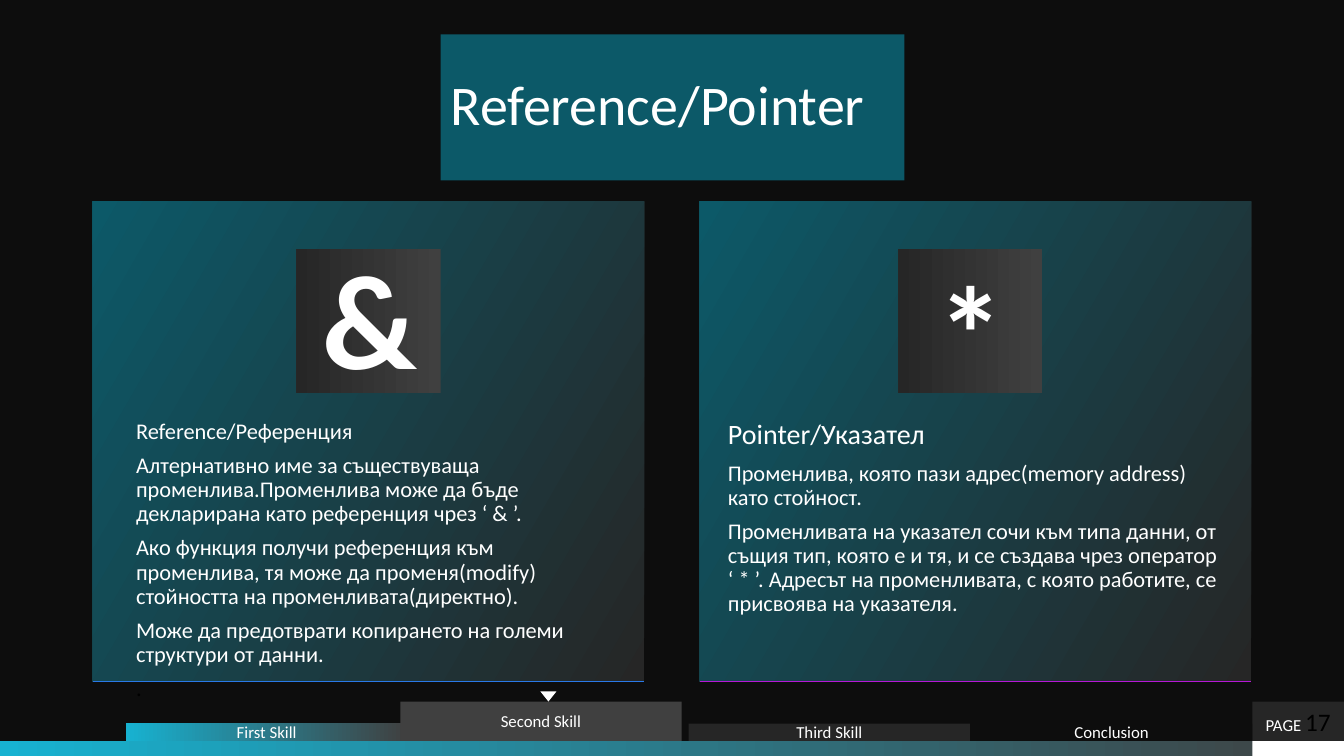
"""Build the Reference/Pointer comparison slide."""
from dataclasses import dataclass

from pptx import Presentation
from pptx.dml.color import RGBColor
from pptx.enum.shapes import MSO_CONNECTOR, MSO_SHAPE
from pptx.enum.text import MSO_ANCHOR, MSO_AUTO_SIZE, PP_ALIGN
from pptx.oxml.ns import qn
from pptx.util import Emu, Pt

RECTANGLE = MSO_SHAPE.RECTANGLE
MARKER = MSO_SHAPE.FLOWCHART_MERGE
STRAIGHT = MSO_CONNECTOR.STRAIGHT
TOP, MIDDLE = MSO_ANCHOR.TOP, MSO_ANCHOR.MIDDLE
LEFT, CENTER = PP_ALIGN.LEFT, PP_ALIGN.CENTER
NO_AUTOSIZE = MSO_AUTO_SIZE.NONE
EMU_PER_PX = 9144
TITLE_ONLY = 5


@dataclass(frozen=True)
class Theme:
    """Colours, font and type sizes of the slide."""

    background: str = "0D0D0D"
    panel: str = "262626"
    active: str = "404040"
    teal: str = "0C5968"
    cyan: str = "17B2D1"
    blue: str = "2978E7"
    purple: str = "B517D5"
    white: str = "FFFFFF"
    black: str = "000000"
    font: str = "Calibri"
    title: int = 40
    symbol: int = 96
    heading: int = 20
    body: int = 16
    page: int = 18
    tab: int = 12


THEME = Theme()

REFERENCE_TEXT = [
    ("Reference/Референция", THEME.body, THEME.white),
    ("Алтернативно име за съществуваща променлива.Променлива може да бъде "
     "декларирана като референция чрез ‘ & ’.", THEME.body, THEME.white),
    ("Ако функция получи референция към променлива, тя може да променя(modify) "
     "стойността на променливата(директно).", THEME.body, THEME.white),
    ("Може да предотврати копирането на големи структури от данни.",
     THEME.body, THEME.white),
    (".", THEME.body, THEME.black),
]
POINTER_TEXT = [
    ("Pointer/Указател", THEME.heading, THEME.white),
    ("Променлива, която пази адрес(memory address) като стойност.",
     THEME.body, THEME.white),
    ("Променливата на указател сочи към типа данни, от същия тип, която е и тя, "
     "и се създава чрез оператор \n‘ * ’. Адресът на променливата, с която "
     "работите, се присвоява на указателя.", THEME.body, THEME.white),
]
TABS = [
    ("First Skill", 125, 717, (THEME.cyan, THEME.active, 0)),
    ("Second Skill", 397, 696, THEME.active),
    ("Third Skill", 683, 718, THEME.panel),
    ("Conclusion", 963, 718, THEME.background),
]


def px(*lengths):
    """Turn pixel lengths into EMU."""
    return [Emu(length * EMU_PER_PX) for length in lengths]


def paint(fill, colour):
    """Apply a plain colour or a (start, end, clockwise angle) gradient."""
    if isinstance(colour, str):
        fill.solid()
        fill.fore_color.rgb = RGBColor.from_string(colour)
        return
    start, end, angle = colour
    fill.gradient()
    fill.gradient_angle = (360 - angle) % 360
    for stop, stop_colour in zip(fill.gradient_stops, (start, end)):
        stop.color.rgb = RGBColor.from_string(stop_colour)


def style_font(font, size, colour=THEME.white, bold=False):
    """Set typeface, size, colour and weight."""
    font.name = THEME.font
    font.size = Pt(size)
    font.bold = bold
    font.color.rgb = RGBColor.from_string(colour)


def set_frame(frame, insets, anchor):
    """Set wrapping, anchor and the left, top, right and bottom insets."""
    frame.word_wrap = True
    frame.auto_size = NO_AUTOSIZE
    frame.vertical_anchor = anchor
    (frame.margin_left, frame.margin_top,
     frame.margin_right, frame.margin_bottom) = px(*insets)


def add_block(slide, box, colour, kind=RECTANGLE):
    """Add a filled shape without outline or shadow."""
    shape = slide.shapes.add_shape(kind, *px(*box))
    shape.shadow.inherit = False
    shape.line.fill.background()
    paint(shape.fill, colour)
    return shape


def add_label(slide, box, colour, text):
    """Add a block with a small centred label and return its paragraph."""
    frame = add_block(slide, box, colour).text_frame
    set_frame(frame, (10, 5, 10, 5), MIDDLE)
    paragraph = frame.paragraphs[0]
    paragraph.text = text
    paragraph.alignment = CENTER
    style_font(paragraph.font, THEME.tab)
    return paragraph


def add_title(slide, text):
    """Place and format the title placeholder."""
    title = slide.shapes.title
    title.left, title.top, title.width, title.height = px(437, 34, 460, 145)
    paint(title.fill, THEME.teal)
    set_frame(title.text_frame, (10, 12, 10, 12), MIDDLE)
    paragraph = title.text_frame.paragraphs[0]
    paragraph.text = text
    paragraph.alignment = LEFT
    paragraph.line_spacing = 0.9
    style_font(paragraph.font, THEME.title)


def add_underline(slide, left, top, width, colour):
    """Add the coloured line along the foot of a card."""
    line = slide.shapes.add_connector(
        STRAIGHT, *px(left, top, left + width, top))
    line.line.width = Pt(1)
    line.line.color.rgb = RGBColor.from_string(colour)
    properties = line._element.spPr
    properties.append(properties.makeelement(qn("a:effectLst"), {}))


def add_card(slide, left, inset, accent, texts):
    """Add a gradient card with its paragraphs and underline."""
    top, width, height = 200, 547, 476
    card = add_block(slide, (left, top, width, height),
                     (THEME.panel, THEME.teal, 210))
    frame = card.text_frame
    set_frame(frame, (inset, 217, inset, 46), TOP)
    for index, (text, size, colour) in enumerate(texts):
        paragraph = frame.add_paragraph() if index else frame.paragraphs[0]
        paragraph.text = text
        paragraph.alignment = LEFT
        paragraph.line_spacing = 0.9
        paragraph.space_after = Pt(8 if size == THEME.heading else 7)
        style_font(paragraph.font, size, colour)
    add_underline(slide, left, top + height, width, accent)


def add_symbol(slide, tile_left, text_left, text_top, symbol):
    """Add a dark tile with a large operator sign."""
    add_block(slide, (tile_left, 247, 143, 143),
              (THEME.active, THEME.panel, 180))
    box = slide.shapes.add_textbox(*px(text_left, text_top, 109, 172))
    set_frame(box.text_frame, (10, 5, 10, 5), TOP)
    paragraph = box.text_frame.paragraphs[0]
    paragraph.text = symbol
    style_font(paragraph.font, THEME.symbol, bold=True)


def add_navigation(slide):
    """Add the bottom bar, page number, tabs and active-tab marker."""
    add_block(slide, (0, 735, 1333, 15), (THEME.cyan, THEME.active, 0))
    add_block(slide, (1242, 735, 91, 15), THEME.white)
    page = add_label(slide, (1242, 696, 91, 39), THEME.panel, "PAGE ")
    number = page.add_run()
    number.text = "17"
    style_font(number.font, THEME.page, THEME.black)
    for text, left, top, colour in TABS:
        add_label(slide, (left, top, 279, 735 - top), colour, text)
    add_block(slide, (536, 686, 16, 10), THEME.white, MARKER)


def main():
    """Build and save the presentation."""
    presentation = Presentation()
    presentation.slide_width, presentation.slide_height = px(1333, 750)
    slide = presentation.slides.add_slide(
        presentation.slide_layouts[TITLE_ONLY])
    paint(slide.background.fill, THEME.background)
    add_title(slide, "Reference/Pointer")
    add_card(slide, 92, 43, THEME.blue, REFERENCE_TEXT)
    add_card(slide, 694, 28, THEME.purple, POINTER_TEXT)
    add_symbol(slide, 294, 310, 228, "&")
    add_symbol(slide, 891, 920, 241, "*")
    add_navigation(slide)
    presentation.save("out.pptx")


if __name__ == "__main__":
    main()
